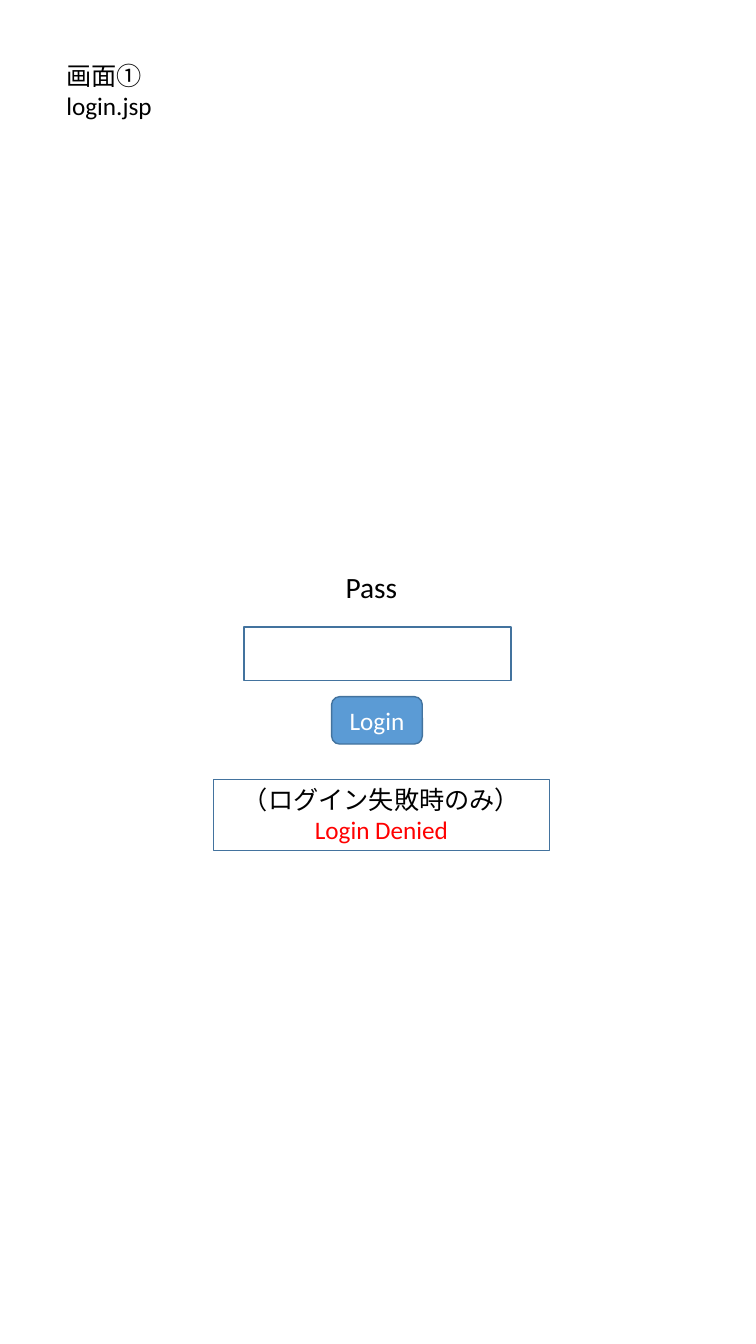
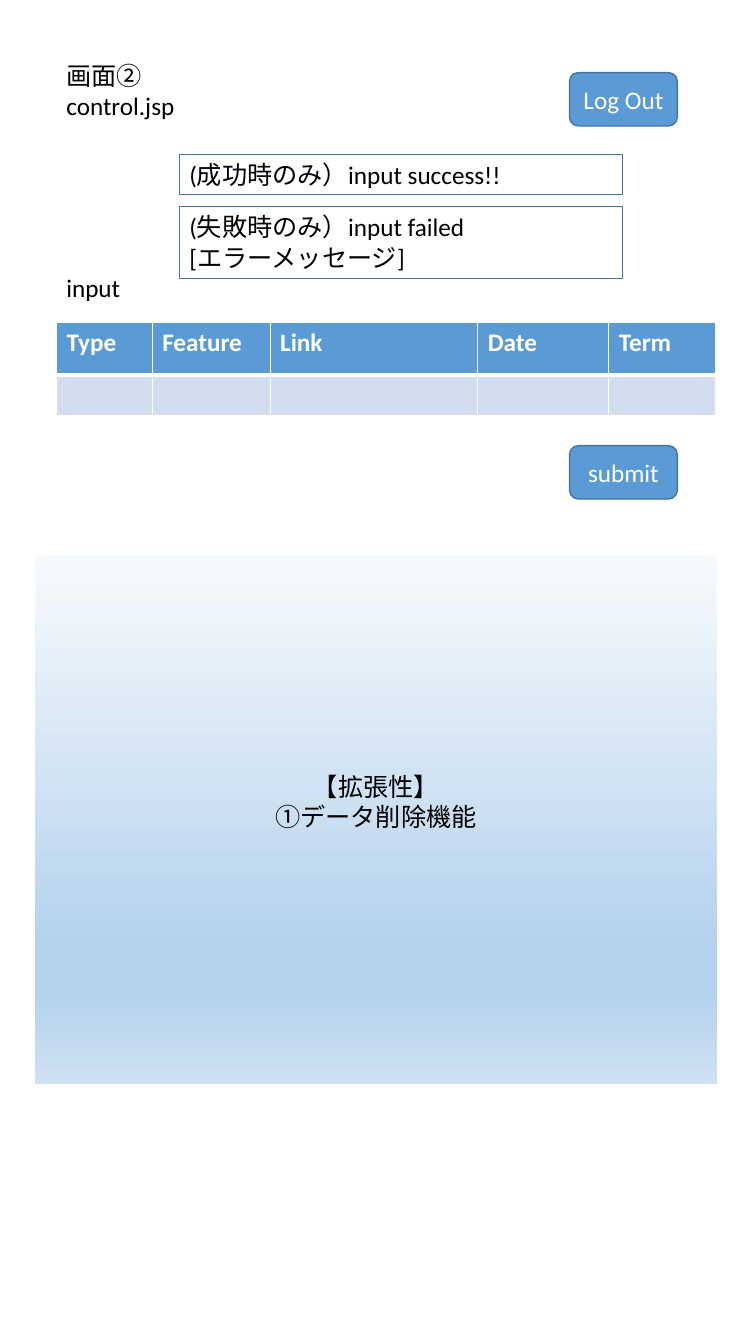
from lxml import etree
from pptx import Presentation
from pptx.dml.color import RGBColor
from pptx.enum.shapes import MSO_SHAPE
from pptx.enum.text import MSO_ANCHOR, PP_ALIGN
from pptx.oxml.ns import qn
from pptx.util import Emu, Pt

PX = 9144  # 100 px to the inch
FONT = "Calibri"
BLACK = RGBColor(0x00, 0x00, 0x00)
WHITE = RGBColor(0xFF, 0xFF, 0xFF)
RED = RGBColor(0xFF, 0x00, 0x00)
BLUE = RGBColor(0x5B, 0x9B, 0xD5)
OUTLINE = RGBColor(0x43, 0x73, 0x9E)
ROW_TINT = RGBColor(0xD2, 0xDE, 0xEF)
PANEL_STOPS = [
    (0, RGBColor(0xF7, 0xFA, 0xFD)),
    (74, RGBColor(0xB5, 0xD2, 0xEC)),
    (83, RGBColor(0xB5, 0xD2, 0xEC)),
    (100, RGBColor(0xCE, 0xE1, 0xF2)),
]
RECTANGLE, ROUNDED = MSO_SHAPE.RECTANGLE, MSO_SHAPE.ROUNDED_RECTANGLE
LEFT, CENTER = PP_ALIGN.LEFT, PP_ALIGN.CENTER
TOP, MIDDLE = MSO_ANCHOR.TOP, MSO_ANCHOR.MIDDLE


def to_emu(box):
    return [Emu(length * PX) for length in box]


def write_lines(frame, lines, align=LEFT, color=BLACK, size=18, bold=False):
    """Write one paragraph per line; a line is text or a (text, colour) pair."""
    for index, line in enumerate(lines):
        text, line_color = line if isinstance(line, tuple) else (line, color)
        paragraph = frame.paragraphs[0] if index == 0 else frame.add_paragraph()
        paragraph.alignment = align
        run = paragraph.add_run()
        run.text = text
        run.font.name = FONT
        run.font.size = Pt(size)
        run.font.bold = bold
        run.font.color.rgb = line_color


def add_label(slide, box, lines, wrap=True, **style):
    frame = slide.shapes.add_textbox(*to_emu(box)).text_frame
    frame.word_wrap = wrap
    write_lines(frame, lines, **style)
    return frame


def add_box(slide, box, lines=(), kind=RECTANGLE, fill=None, line_width=0.75,
            anchor=TOP, **style):
    shape = slide.shapes.add_shape(kind, *to_emu(box))
    shape.shadow.inherit = False
    if fill is None:
        shape.fill.background()
    else:
        shape.fill.solid()
        shape.fill.fore_color.rgb = fill
    if line_width:
        shape.line.color.rgb = OUTLINE
        shape.line.width = Pt(line_width)
    else:
        shape.line.fill.background()
    shape.text_frame.word_wrap = True
    shape.text_frame.vertical_anchor = anchor
    write_lines(shape.text_frame, lines, **style)
    return shape


def add_button(slide, box, caption):
    add_box(slide, box, [caption], kind=ROUNDED, fill=BLUE, line_width=1,
            anchor=MIDDLE, align=CENTER, color=WHITE)


def add_screen(presentation, name, page):
    """Add a blank slide with its screen name and page at the top left."""
    slide = presentation.slides.add_slide(presentation.slide_layouts[6])
    add_label(slide, (56, 55, 312, 71), [name, page])
    return slide


def set_cell_borders(cell, bottom_width):
    properties = cell._tc.get_or_add_tcPr()
    widths = {"a:lnL": 1, "a:lnR": 1, "a:lnT": 1, "a:lnB": bottom_width}
    for position, (tag, width) in enumerate(widths.items()):
        border = etree.Element(qn(tag), w=str(Pt(width)))
        fill = etree.SubElement(border, qn("a:solidFill"))
        etree.SubElement(fill, qn("a:srgbClr"), val=str(WHITE))
        properties.insert(position, border)


def add_input_table(slide, left, top, columns, row_heights):
    """Add a header row and empty rows; columns holds (heading, width) pairs."""
    box = (left, top, sum(width for _, width in columns), sum(row_heights))
    table = slide.shapes.add_table(len(row_heights), len(columns), *to_emu(box)).table
    for row, height in zip(table.rows, row_heights):
        row.height = Emu(height * PX)
    for index, (heading, width) in enumerate(columns):
        table.columns[index].width = Emu(width * PX)
        write_lines(table.cell(0, index).text_frame, [heading], color=WHITE, bold=True)
        for row in range(len(row_heights)):
            cell = table.cell(row, index)
            cell.fill.solid()
            cell.fill.fore_color.rgb = ROW_TINT if row else BLUE
            set_cell_borders(cell, 1 if row else 3)


def add_extension_panel(slide, box, lines):
    panel = add_box(slide, box, lines, line_width=0, align=CENTER)
    panel.text_frame.margin_top = Emu(215 * PX)
    panel.fill.gradient()
    panel.fill.gradient_angle = 270
    stops = panel._element.spPr.find(qn("a:gradFill")).find(qn("a:gsLst"))
    for stop in list(stops):
        stops.remove(stop)
    for percent, color in PANEL_STOPS:
        stop = etree.SubElement(stops, qn("a:gs"), pos=str(percent * 1000))
        etree.SubElement(stop, qn("a:srgbClr"), val=str(color))


def add_login_form(slide, left, top):
    prompt = add_label(slide, (left + 103, top, 107, 42), ["Pass"], align=CENTER, size=21)
    prompt.paragraphs[0].line_spacing = 0.9
    prompt.paragraphs[0].space_before = Pt(7.5)
    add_box(slide, (left + 30, top + 59, 265, 53), line_width=1)
    add_button(slide, (left + 117, top + 128, 90, 47), "Login")
    add_box(slide, (left, top + 210, 333, 71),
            ["（ログイン失敗時のみ）", ("Login Denied", RED)], align=CENTER)


def add_result_messages(slide, left, top, width):
    add_box(slide, (left, top, width, 40), ["(成功時のみ）input success!!"])
    add_box(slide, (left, top + 52, width, 71),
            ["(失敗時のみ）input failed", "[エラーメッセージ]"])


def build_login_screen(presentation):
    slide = add_screen(presentation, "画面①", "login.jsp")
    add_login_form(slide, 212, 563)


def build_control_screen(presentation):
    slide = add_screen(presentation, "画面②", "control.jsp")
    add_input_table(slide, 56, 320, [("Type", 95), ("Feature", 117), ("Link", 206),
                                     ("Date", 130), ("Term", 106)], [52, 39])
    add_label(slide, (56, 265, 74, 40), ["input"], wrap=False)
    for top, caption in [(72, "Log Out"), (442, "submit")]:
        add_button(slide, (565, top, 107, 53), caption)
    add_result_messages(slide, 178, 153, 440)
    add_extension_panel(slide, (35, 550, 676, 525), ["【拡張性】", "①データ削除機能"])


def main():
    presentation = Presentation()
    presentation.slide_width, presentation.slide_height = to_emu((750, 1333))
    build_login_screen(presentation)
    build_control_screen(presentation)
    presentation.save("out.pptx")


if __name__ == "__main__":
    main()
